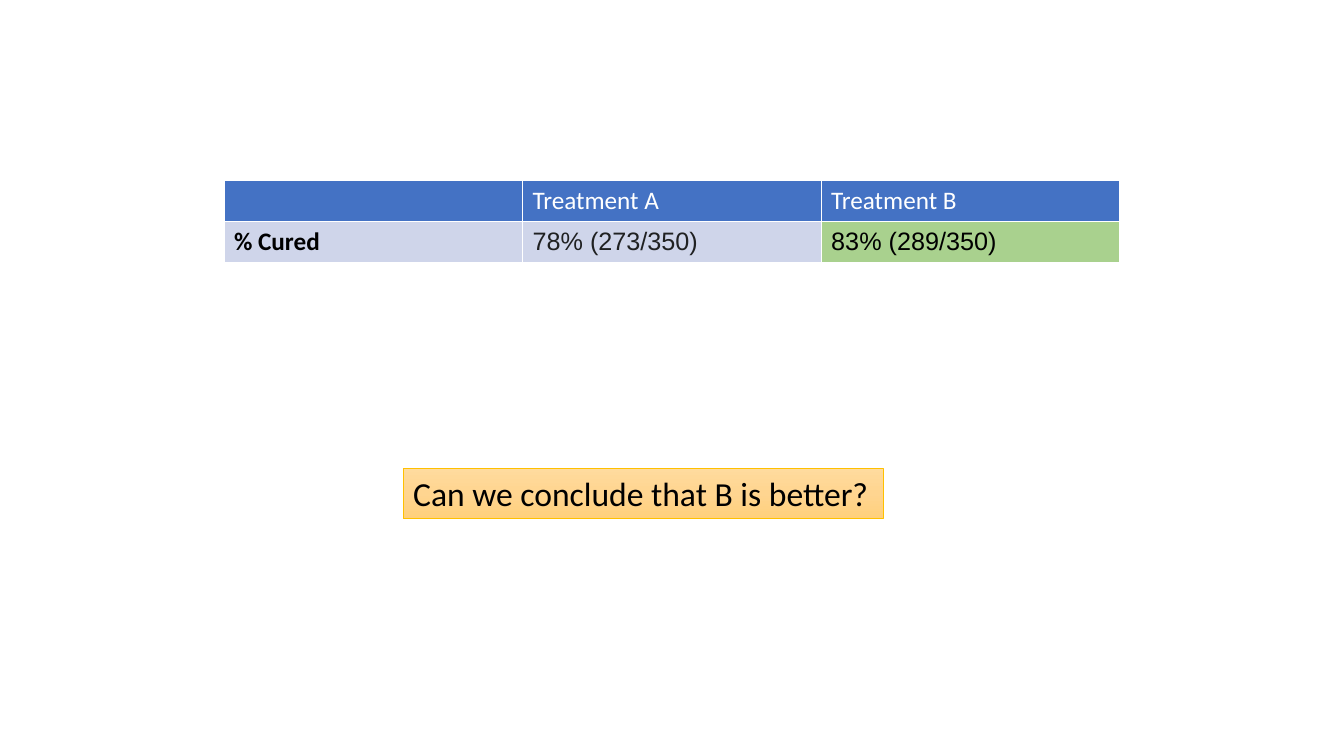
from copy import deepcopy

from pptx import Presentation
from pptx.dml.color import RGBColor
from pptx.enum.shapes import MSO_SHAPE
from pptx.enum.text import MSO_ANCHOR, PP_ALIGN
from pptx.oxml.ns import qn
from pptx.util import Pt

BLUE = RGBColor(0x44, 0x72, 0xC4)
PALE_BLUE = RGBColor(0xCF, 0xD5, 0xEA)
GREEN = RGBColor(0xA9, 0xD1, 0x8E)
GOLD = RGBColor(0xFF, 0xC0, 0x00)
QUESTION_GRADIENT = [
    (0, RGBColor(0xFF, 0xDB, 0x9E)),
    (0.5, RGBColor(0xFF, 0xD5, 0x90)),
    (1, RGBColor(0xFF, 0xD0, 0x7C)),
]
WHITE = RGBColor(0xFF, 0xFF, 0xFF)
BLACK = RGBColor(0, 0, 0)
CHARCOAL = RGBColor(0x20, 0x21, 0x22)

CURE_RATES = [
    [("", BLUE, WHITE, "Calibri", False),
     ("Treatment A", BLUE, WHITE, "Calibri", False),
     ("Treatment B", BLUE, WHITE, "Calibri", False)],
    [("% Cured", PALE_BLUE, BLACK, "Calibri", True),
     ("78% (273/350)", PALE_BLUE, CHARCOAL, "Arial", False),
     ("83% (289/350)", GREEN, BLACK, "Arial", False)],
]
QUESTION = "Can we conclude that B is better?"

TABLE_LEFT, TABLE_TOP = 160, 129
COLUMN_WIDTH, ROW_HEIGHT = 213.3, 29.2


def format_text(paragraph, size, font_name, color, bold=False):
    for run in paragraph.runs:
        run.font.size = Pt(size)
        run.font.name = font_name
        run.font.color.rgb = color
        run.font.bold = bold


def add_cure_table(slide):
    row_count, column_count = len(CURE_RATES), len(CURE_RATES[0])
    cure_table = slide.shapes.add_table(
        row_count, column_count, Pt(TABLE_LEFT), Pt(TABLE_TOP),
        Pt(column_count * COLUMN_WIDTH), Pt(row_count * ROW_HEIGHT)).table
    for row_index, row in enumerate(CURE_RATES):
        for column_index, (text, fill, color, font_name, bold) in enumerate(row):
            cell = cure_table.cell(row_index, column_index)
            cell.fill.solid()
            cell.fill.fore_color.rgb = fill
            cell.text_frame.text = text
            if font_name == "Arial":
                cell.vertical_anchor = MSO_ANCHOR.MIDDLE
            format_text(cell.text_frame.paragraphs[0], 18, font_name, color, bold)


def add_question(slide):
    question = slide.shapes.add_shape(
        MSO_SHAPE.RECTANGLE, Pt(288), Pt(334.3), Pt(342.8), Pt(36.3))
    question.shadow.inherit = False
    question.line.color.rgb = GOLD
    question.line.width = Pt(0.5)
    question.fill.gradient()
    question.fill.gradient_angle = 270
    stop_list = question._element.spPr.find(qn("a:gradFill")).find(qn("a:gsLst"))
    stop_list.insert(1, deepcopy(stop_list[0]))
    for stop, (position, color) in zip(question.fill.gradient_stops, QUESTION_GRADIENT):
        stop.position = position
        stop.color.rgb = color
    question.text_frame.word_wrap = False
    question.text_frame.vertical_anchor = MSO_ANCHOR.TOP
    question.text_frame.text = QUESTION
    paragraph = question.text_frame.paragraphs[0]
    paragraph.alignment = PP_ALIGN.LEFT
    format_text(paragraph, 24, "Calibri", BLACK)


def main():
    presentation = Presentation()
    presentation.slide_width = Pt(960)
    presentation.slide_height = Pt(540)
    slide = presentation.slides.add_slide(presentation.slide_layouts[6])
    add_cure_table(slide)
    add_question(slide)
    presentation.save("out.pptx")


if __name__ == "__main__":
    main()
